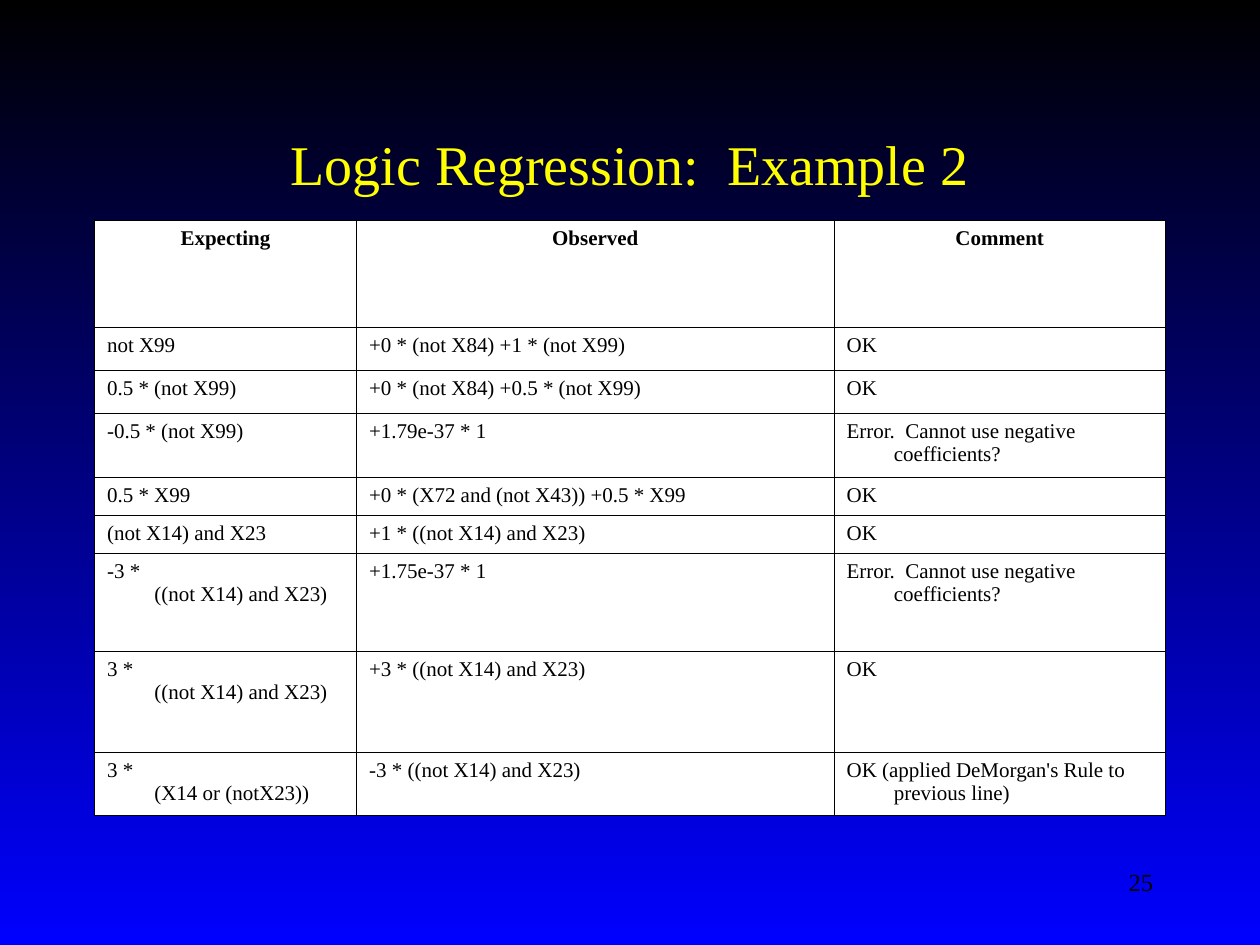
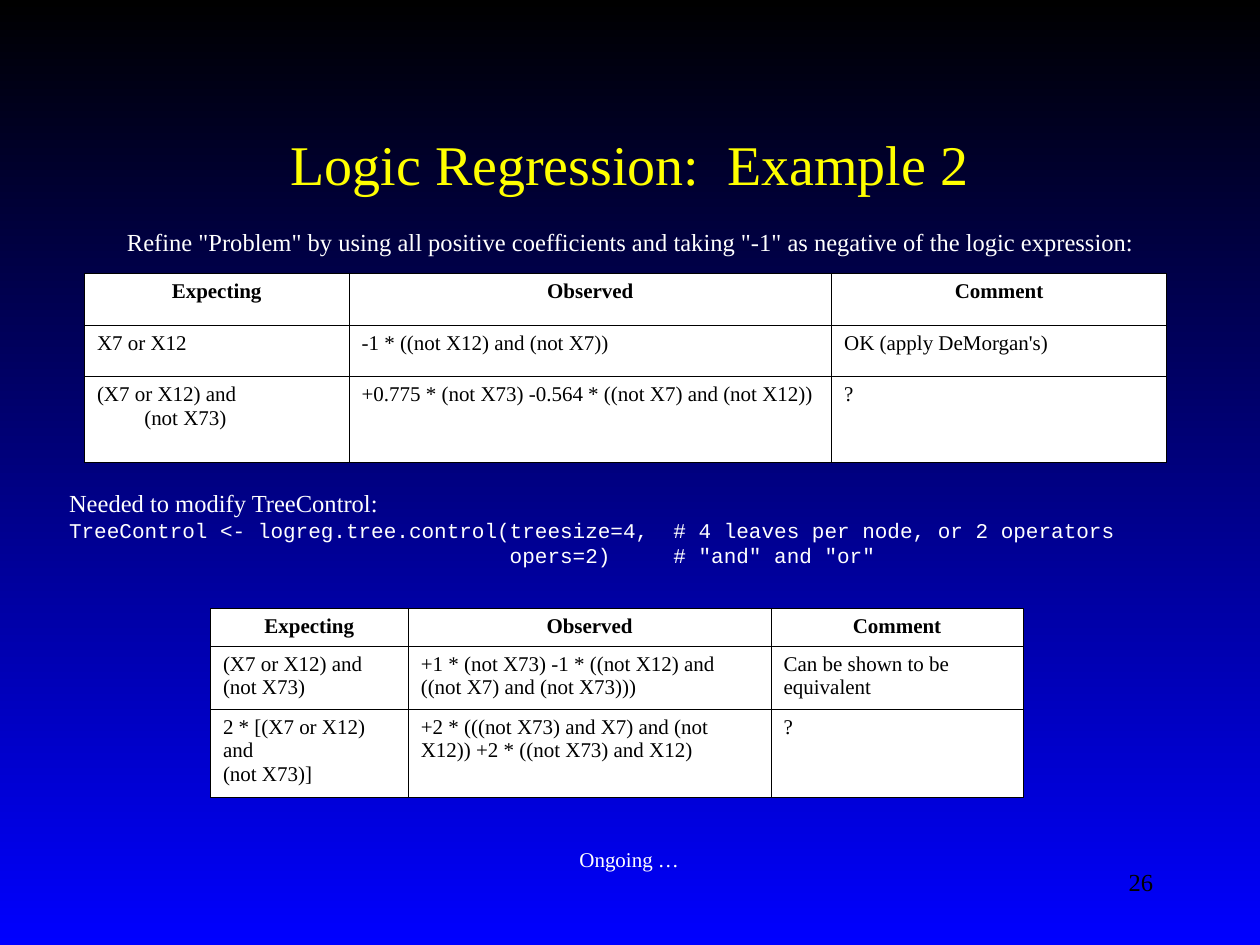
from dataclasses import dataclass

from lxml import etree
from pptx import Presentation
from pptx.dml.color import RGBColor
from pptx.enum.text import MSO_ANCHOR, MSO_AUTO_SIZE, PP_ALIGN
from pptx.oxml.ns import qn
from pptx.util import Inches, Pt

LEFT, CENTER, RIGHT = PP_ALIGN.LEFT, PP_ALIGN.CENTER, PP_ALIGN.RIGHT
TOP, MIDDLE = MSO_ANCHOR.TOP, MSO_ANCHOR.MIDDLE
FIT_SHAPE = MSO_AUTO_SIZE.SHAPE_TO_FIT_TEXT


@dataclass(frozen=True)
class Style:
    size: float
    color: str
    font: str = "Times New Roman"
    bold: bool = False


class Theme:
    sky_top, sky_bottom = "000000", "0000FF"
    paper, border = "FFFFFF", "000000"
    border_width = Pt(0.45)
    hanging = 0.375
    title = Style(32, "FFFF00")
    note = Style(14, "FFFFFF")
    remark = Style(12, "FFFFFF")
    code = Style(12, "FFFFFF", "Courier New")
    heading = Style(12, "000000", bold=True)
    cell = Style(12, "000000")
    number = Style(14, "000000")


HEADINGS = ("Expecting", "Observed", "Comment")
TITLE = "Logic Regression:  Example 2"
TITLE_BOX = (0.75, 0.67, 8.5, 1.25)
NUMBER_BOX = (7.17, 6.83, 2.08, 0.5)
NEGATIVE_ERROR = "Error.  Cannot use negative coefficients?"

FIRST_RESULTS = [
    ("not X99", "+0 * (not X84) +1 * (not X99)", "OK"),
    ("0.5 * (not X99)", "+0 * (not X84) +0.5 * (not X99)", "OK"),
    ("-0.5 * (not X99)", "+1.79e-37 * 1", NEGATIVE_ERROR),
    ("0.5 * X99", "+0 * (X72 and (not X43)) +0.5 * X99", "OK"),
    ("(not X14) and X23", "+1 * ((not X14) and X23)", "OK"),
    ("-3 * \v((not X14) and X23)", "+1.75e-37 * 1", NEGATIVE_ERROR),
    ("3 * \v((not X14) and X23)", "+3 * ((not X14) and X23)", "OK"),
    ("3 * \v(X14 or (notX23))", "-3 * ((not X14) and X23)",
     "OK (applied DeMorgan's Rule to previous line)"),
]
REFINED_RESULTS = [
    ("X7 or X12", "-1 * ((not X12) and (not X7))", "OK (apply DeMorgan's)"),
    ("(X7 or X12) and \v(not X73)",
     "+0.775 * (not X73) -0.564 * ((not X7) and (not X12))", "?"),
]
TREE_RESULTS = [
    ("(X7 or X12) and\v(not X73)",
     "+1 * (not X73) -1 * ((not X12) and ((not X7) and (not X73)))",
     "Can be shown to be equivalent"),
    ("2 * [(X7 or X12) and\v(not X73)]",
     "+2 * (((not X73) and X7) and (not X12)) +2 * ((not X73) and X12)", "?"),
]
REFINE_NOTE = ('Refine "Problem" by using all positive coefficients and taking '
               '"-1" as negative of the logic expression:')
TREE_CONTROL = (
    "Needed to modify TreeControl:\v"
    "TreeControl <- logreg.tree.control(treesize=4,  # 4 leaves per node, or 2 operators\n"
    '                                   opers=2)     # "and" and "or"')


def format_text(frame, styles, align):
    """Style the runs in order; the last style covers the remaining runs."""
    runs = []
    for paragraph in frame.paragraphs:
        paragraph.alignment = align
        runs.extend(paragraph.runs)
    for i, run in enumerate(runs):
        style = styles[min(i, len(styles) - 1)]
        run.font.name = style.font
        run.font.size = Pt(style.size)
        run.font.bold = style.bold
        run.font.color.rgb = RGBColor.from_string(style.color)


def add_text(slide, box, text, *styles, align=LEFT, anchor=TOP, wrap=True):
    frame = slide.shapes.add_textbox(*map(Inches, box)).text_frame
    frame.word_wrap = wrap
    if not wrap:
        frame.auto_size = FIT_SHAPE
    frame.vertical_anchor = anchor
    frame.text = text
    format_text(frame, styles, align)


def add_borders(cell):
    properties = cell._tc.get_or_add_tcPr()
    for side in ("a:lnL", "a:lnR", "a:lnT", "a:lnB"):
        line = etree.SubElement(properties, qn(side), w=str(Theme.border_width))
        fill = etree.SubElement(line, qn("a:solidFill"))
        etree.SubElement(fill, qn("a:srgbClr"), val=Theme.border)


def hang_indent(paragraph):
    properties = paragraph._p.get_or_add_pPr()
    properties.set("marL", str(Inches(Theme.hanging)))
    properties.set("indent", str(-Inches(Theme.hanging)))


def add_results(slide, left, top, widths, heights, results, hanging=True):
    rows = [HEADINGS, *results]
    table = slide.shapes.add_table(
        len(rows), len(HEADINGS), Inches(left), Inches(top),
        Inches(sum(widths)), Inches(sum(heights))).table
    table.horz_banding = False
    for column, width in zip(table.columns, widths):
        column.width = Inches(width)
    for r, (row, height) in enumerate(zip(rows, heights)):
        table.rows[r].height = Inches(height)
        style, align = (Theme.cell, LEFT) if r else (Theme.heading, CENTER)
        for c, text in enumerate(row):
            cell = table.cell(r, c)
            add_borders(cell)
            cell.fill.solid()
            cell.fill.fore_color.rgb = RGBColor.from_string(Theme.paper)
            cell.text_frame.text = text
            if hanging:
                hang_indent(cell.text_frame.paragraphs[0])
            format_text(cell.text_frame, [style], align)


def add_base_slide(deck, number):
    """Gradient background, title and slide number."""
    slide = deck.slides.add_slide(deck.slide_layouts[6])
    fill = slide.background.fill
    fill.gradient()
    fill.gradient_angle = 270
    for stop, color in zip(fill.gradient_stops, (Theme.sky_top, Theme.sky_bottom)):
        stop.color.rgb = RGBColor.from_string(color)
    add_text(slide, TITLE_BOX, TITLE, Theme.title, align=CENTER, anchor=MIDDLE)
    add_text(slide, NUMBER_BOX, str(number), Theme.number, align=RIGHT)
    return slide


def build_first_results(deck):
    slide = add_base_slide(deck, 25)
    add_results(slide, 0.75, 1.75, (2.08, 3.79, 2.63),
                (0.85, 0.34, 0.34, 0.51, 0.3, 0.3, 0.78, 0.8, 0.5), FIRST_RESULTS)


def build_refinement(deck):
    slide = add_base_slide(deck, 26)
    # Positive coefficients only
    add_text(slide, (0.91, 1.75, 8.2, 0.34), REFINE_NOTE, Theme.note, wrap=False)
    add_results(slide, 0.67, 2.17, (2.1, 3.83, 2.66), (0.41, 0.41, 0.68),
                REFINED_RESULTS)
    # Modified tree control
    add_text(slide, (0.45, 3.82, 8.8, 0.74), TREE_CONTROL, Theme.note, Theme.code,
             anchor=MIDDLE, wrap=False)
    add_results(slide, 1.67, 4.83, (1.57, 2.88, 2), (0.3, 0.5, 0.7),
                TREE_RESULTS, hanging=False)
    # Closing remark
    add_text(slide, (4.5, 6.67, 0.99, 0.3), "Ongoing …", Theme.remark, wrap=False)


def main():
    deck = Presentation()
    deck.slide_width, deck.slide_height = Inches(10), Inches(7.5)
    build_first_results(deck)
    build_refinement(deck)
    deck.save("out.pptx")


if __name__ == "__main__":
    main()
